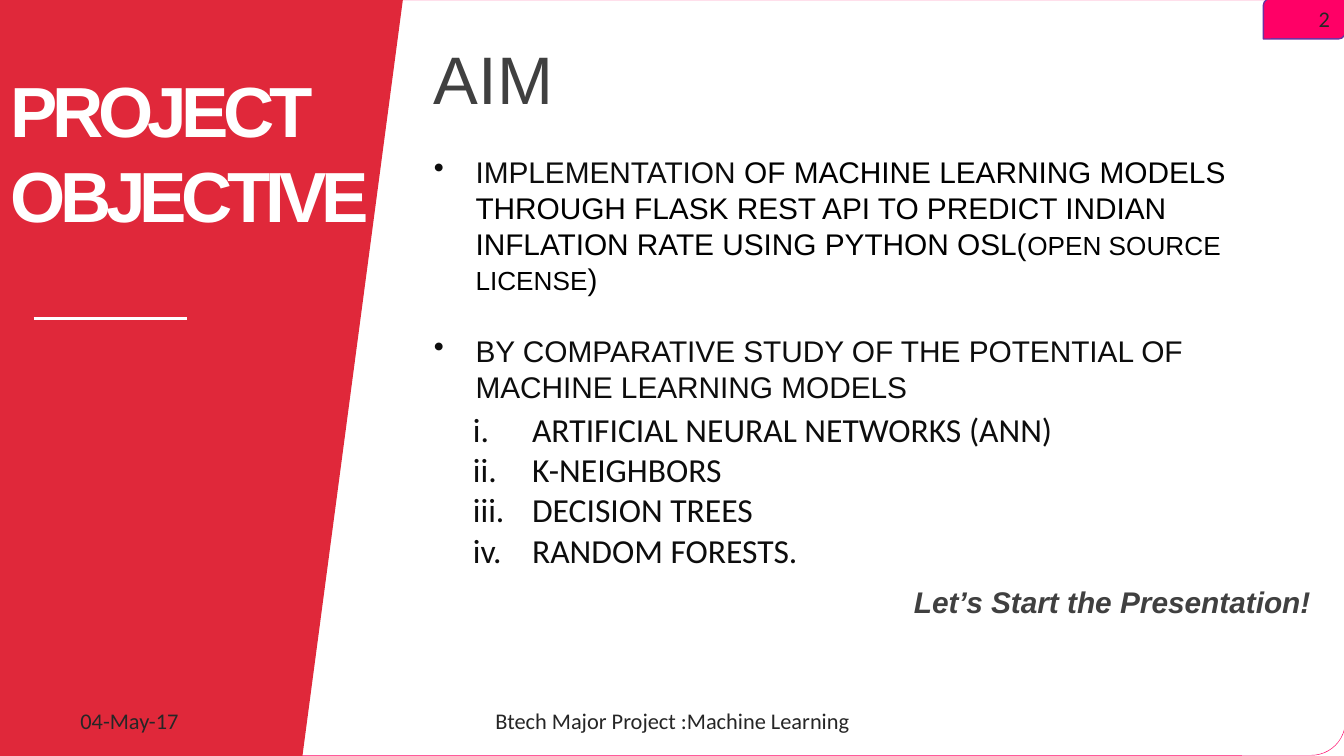
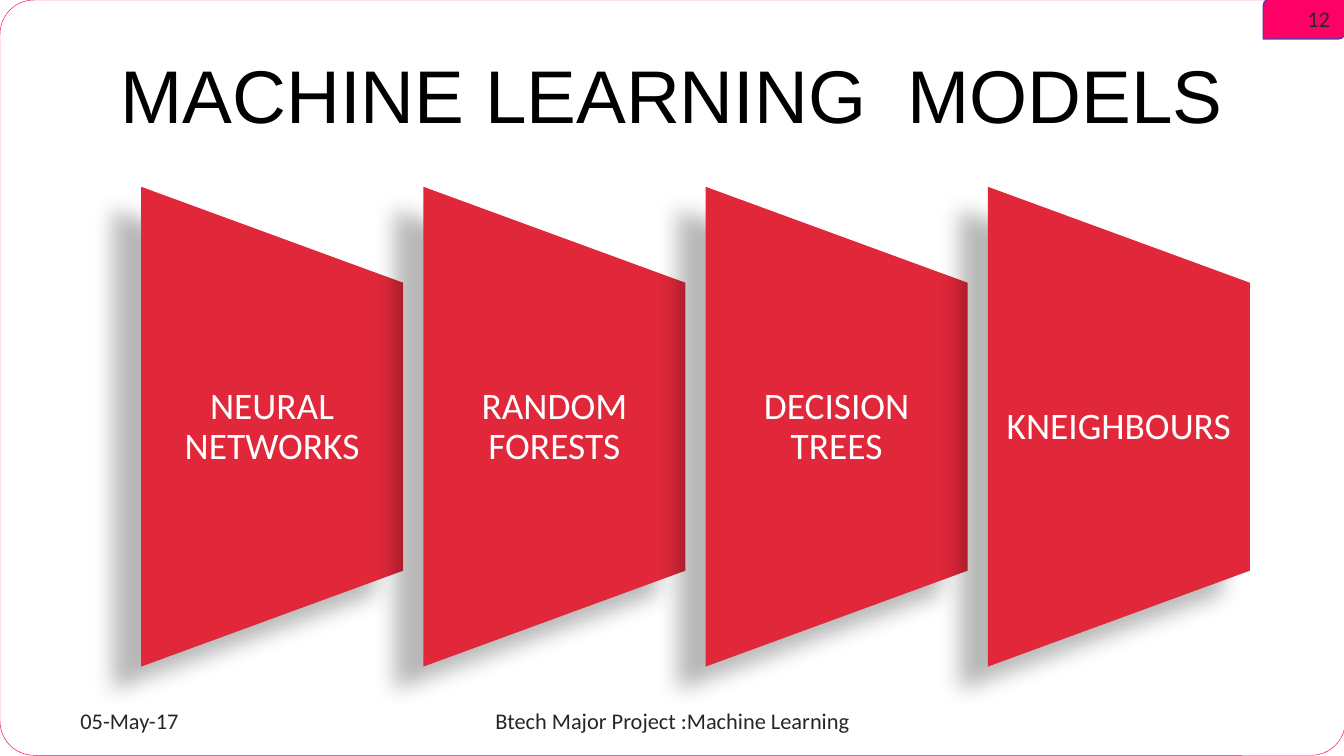
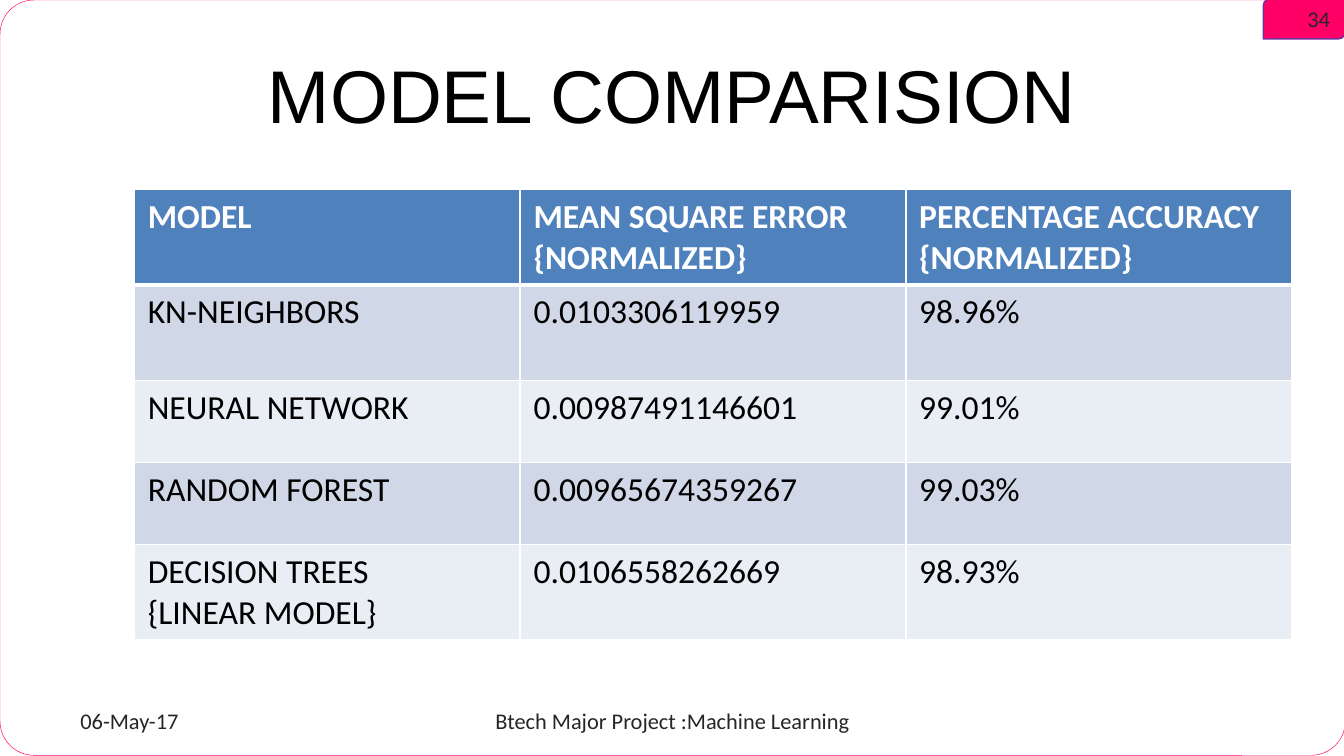
from dataclasses import dataclass, field
from typing import Any, Optional

from lxml.etree import SubElement
from pptx import Presentation
from pptx.dml.color import RGBColor
from pptx.enum.shapes import MSO_CONNECTOR, MSO_SHAPE
from pptx.enum.text import MSO_ANCHOR, MSO_AUTO_SIZE, PP_ALIGN
from pptx.oxml import parse_xml
from pptx.oxml.ns import nsdecls, qn
from pptx.util import Inches, Pt

WHITE = "FFFFFF"
BLACK = "000000"
RED = "E0283A"
PINK = "FF0066"
PURPLE = "7030A0"
INK = "0D0D0D"
GREY = "404040"
FOOTER_INK = "262626"
HEADER_BLUE = "4F81BD"
ROW_FILLS = ("D0D8E8", "E9EDF4")

FOOTER = {"name": "Calibri", "size": Pt(12), "color": FOOTER_INK}
TITLE = {"name": "Arial", "size": Pt(40), "color": BLACK, "bold": False}
PANEL_TITLE = {"name": "Arial", "size": Pt(38), "color": WHITE, "bold": True}
BODY = {"name": "Arial", "size": Pt(16), "color": BLACK}
LIST_ITEM = {"name": "Calibri", "size": Pt(18), "color": INK}
CARD = {"name": "Calibri", "size": Pt(20), "color": WHITE}
TABLE_HEADER = {"name": "Calibri", "size": Pt(18), "color": WHITE, "bold": True}
TABLE_BODY = {"name": "Calibri", "size": Pt(18), "color": BLACK, "bold": False}

BODY_LINE = 19.2


@dataclass
class Box:
    left: float
    top: float
    width: float
    height: float

    def lengths(self) -> tuple:
        return tuple(Inches(n) for n in (self.left, self.top, self.width, self.height))


@dataclass
class TextRun:
    text: str
    style: dict
    tracking: int = 0


@dataclass
class TextLine:
    runs: list
    layout: dict = field(default_factory=dict)
    bullet: Optional[tuple] = None
    indent: float = 0


def rgb(value: str) -> RGBColor:
    return RGBColor.from_string(value)


def one_run(text: str, style: dict, **layout: Any) -> TextLine:
    return TextLine([TextRun(text, style)], layout)


def format_font(font: Any, style: dict) -> None:
    for name, value in style.items():
        if name == "color":
            font.color.rgb = rgb(value)
        else:
            setattr(font, name, value)


def set_bullet(paragraph: Any, bullet: tuple, indent: float) -> None:
    properties = paragraph._p.get_or_add_pPr()
    properties.set("marL", str(Inches(indent)))
    properties.set("indent", str(-Inches(indent)))
    tag, attribute, value = bullet
    SubElement(properties, qn(tag)).set(attribute, value)


def write_lines(text_frame: Any, lines: list) -> None:
    for index, line in enumerate(lines):
        paragraph = text_frame.add_paragraph() if index else text_frame.paragraphs[0]
        if line.bullet:
            set_bullet(paragraph, line.bullet, line.indent)
        for name, value in line.layout.items():
            setattr(paragraph, name, value)
        for part in line.runs:
            run = paragraph.add_run()
            run.text = part.text
            format_font(run.font, part.style)
            if part.tracking:
                run._r.get_or_add_rPr().set("spc", str(part.tracking))


def fill_frame(shape: Any, lines: list, anchor: Any, side: float = 0.1, edge: float = 0.05) -> None:
    settings = {
        "word_wrap": True,
        "auto_size": MSO_AUTO_SIZE.NONE,
        "vertical_anchor": anchor,
        "margin_left": Inches(side),
        "margin_right": Inches(side),
        "margin_top": Inches(edge),
        "margin_bottom": Inches(edge),
    }
    for name, value in settings.items():
        setattr(shape.text_frame, name, value)
    write_lines(shape.text_frame, lines)


def add_text(slide: Any, box: Box, lines: list, anchor: Any = MSO_ANCHOR.TOP,
             side: float = 0.1, edge: float = 0.05) -> None:
    fill_frame(slide.shapes.add_textbox(*box.lengths()), lines, anchor, side, edge)


def paint(shape: Any, fill: Optional[str], line: Optional[str] = None, width: float = 0) -> None:
    shape.shadow.inherit = False
    if fill:
        shape.fill.solid()
        shape.fill.fore_color.rgb = rgb(fill)
    else:
        shape.fill.background()
    if line:
        shape.line.color.rgb = rgb(line)
        shape.line.width = Pt(width)
    else:
        shape.line.fill.background()


def place_title(slide: Any, box: Box, line: TextLine, anchor: Any) -> None:
    title = slide.shapes.title
    title.left, title.top, title.width, title.height = box.lengths()
    fill_frame(title, [line], anchor)


def place_centred_title(slide: Any, text: str) -> None:
    line = one_run(text, TITLE, alignment=PP_ALIGN.CENTER)
    place_title(slide, Box(0.5, 0.23, 9, 0.94), line, MSO_ANCHOR.MIDDLE)


def add_page(presentation: Any) -> Any:
    slide = presentation.slides.add_slide(presentation.slide_layouts[5])
    slide.background.fill.solid()
    slide.background.fill.fore_color.rgb = rgb(WHITE)
    frame = slide.shapes.add_shape(MSO_SHAPE.ROUNDED_RECTANGLE, *Box(0, 0, 10.01, 5.62).lengths())
    frame.adjustments[0] = 0.045
    paint(frame, None, PINK, 0.25)
    slide.shapes.title.element.addprevious(frame.element)
    return slide


def add_footers(slide: Any, date: str, number: int) -> None:
    add_text(slide, Box(0.5, 5.21, 2.33, 0.3), [one_run(date, FOOTER)], MSO_ANCHOR.MIDDLE)
    project = one_run("Btech Major Project :Machine Learning", FOOTER, alignment=PP_ALIGN.CENTER)
    add_text(slide, Box(3.42, 5.21, 3.17, 0.3), [project], MSO_ANCHOR.MIDDLE)
    tab = slide.shapes.add_shape(MSO_SHAPE.ROUND_2_DIAG_RECTANGLE, *Box(9.4, -0.01, 0.61, 0.3).lengths())
    paint(tab, PINK, PURPLE, 0.75)
    fill_frame(tab, [one_run(str(number), FOOTER, alignment=PP_ALIGN.RIGHT)], MSO_ANCHOR.MIDDLE)


def add_side_panel(slide: Any) -> None:
    builder = slide.shapes.build_freeform(Inches(-0.02), Inches(-0.01))
    corners = ((3, -0.02), (2.25, 5.63), (0, 5.64))
    builder.add_line_segments([(Inches(x), Inches(y)) for x, y in corners], close=True)
    panel = builder.convert_to_shape()
    paint(panel, RED)
    slide.shapes.title.element.addprevious(panel.element)


def add_rule(slide: Any) -> None:
    ends = [Inches(n) for n in (0.25, 2.37, 1.39, 2.37)]
    rule = slide.shapes.add_connector(MSO_CONNECTOR.STRAIGHT, *ends)
    rule.line.color.rgb = rgb(WHITE)
    rule.line.width = Pt(2)
    SubElement(rule.element.spPr, qn("a:effectLst"))


def build_objective(presentation: Any) -> None:
    slide = add_page(presentation)
    add_side_panel(slide)
    heading = TextLine([TextRun("PROJECT OBJECTIVE", PANEL_TITLE, -300)],
                       {"alignment": PP_ALIGN.LEFT, "line_spacing": Pt(45.5)})
    place_title(slide, Box(-0.02, 0.45, 3.02, 2.79), heading, MSO_ANCHOR.TOP)

    dark = BODY | {"color": INK}
    dot = ("a:buChar", "char", "•")
    spacing = {"line_spacing": Pt(BODY_LINE), "space_before": Pt(BODY_LINE)}
    aim = [
        one_run("AIM", BODY | {"size": Pt(36), "color": GREY}, line_spacing=Pt(43)),
        TextLine([
            TextRun("IMPLEMENTATION", dark),
            TextRun(" OF MACHINE LEARNING MODELS THROUGH FLASK REST API TO PREDICT INDIAN "
                    "INFLATION RATE USING PYTHON OSL(", BODY),
            TextRun("OPEN SOURCE LICENSE", BODY | {"size": Pt(14)}),
            TextRun(")", BODY),
        ], spacing, dot, 0.31),
        TextLine([TextRun("BY COMPARATIVE STUDY OF THE POTENTIAL OF MACHINE LEARNING MODELS", dark)],
                 spacing, dot, 0.31),
        one_run("Let’s Start the Presentation!", BODY | {"color": GREY, "bold": True, "italic": True},
                alignment=PP_ALIGN.RIGHT, line_spacing=Pt(BODY_LINE), space_before=Pt(5 * BODY_LINE)),
    ]
    add_text(slide, Box(3.13, 0.23, 6.72, 4.48), aim)
    add_rule(slide)
    add_footers(slide, "04-May-17", 2)

    models = ("ARTIFICIAL NEURAL NETWORKS (ANN)", "K-NEIGHBORS", "DECISION TREES", "RANDOM FORESTS.")
    roman = ("a:buAutoNum", "type", "romanLcPeriod")
    items = [TextLine([TextRun(model, LIST_ITEM)], {}, roman, 0.44) for model in models]
    add_text(slide, Box(3.42, 2.99, 4.89, 1.31), items)


def add_soft_shadow(shape: Any) -> None:
    properties = shape.element.spPr
    properties.remove(properties.find(qn("a:effectLst")))
    properties.append(parse_xml(
        f'<a:effectLst {nsdecls("a")}><a:outerShdw blurRad="{Pt(11.8)}" dist="{Pt(19.7)}" '
        f'dir="{141 * 60000}" rotWithShape="0"><a:srgbClr val="{BLACK}"><a:alpha val="28000"/>'
        '</a:srgbClr></a:outerShdw></a:effectLst>'))


def add_model_card(slide: Any, left: float, label: str) -> None:
    card = slide.shapes.add_shape(MSO_SHAPE.FLOWCHART_MANUAL_OPERATION,
                                  *Box(left - 0.81, 2.2, 3.57, 1.95).lengths())
    card.rotation = 270
    paint(card, RED)
    add_soft_shadow(card)
    line = one_run(label, CARD, alignment=PP_ALIGN.CENTER, line_spacing=0.9)
    add_text(slide, Box(left, 2.11, 1.95, 2.14), [line], MSO_ANCHOR.MIDDLE, 0.14, 0)


def build_models(presentation: Any) -> None:
    slide = add_page(presentation)
    place_centred_title(slide, "MACHINE LEARNING  MODELS")
    add_footers(slide, "05-May-17", 12)
    labels = ("NEURAL NETWORKS", "RANDOM FORESTS", "DECISION TREES", "KNEIGHBOURS")
    for index, label in enumerate(labels):
        add_model_card(slide, 1.05 + 2.1 * index, label)


def set_borders(cell: Any, top: float, bottom: float) -> None:
    properties = cell._tc.get_or_add_tcPr()
    widths = {"lnL": 1, "lnR": 1, "lnT": top, "lnB": bottom}
    for index, (tag, width) in enumerate(widths.items()):
        properties.insert(index, parse_xml(
            f'<a:{tag} {nsdecls("a")} w="{Pt(width)}"><a:solidFill>'
            f'<a:srgbClr val="{WHITE}"/></a:solidFill></a:{tag}>'))


def build_comparison(presentation: Any) -> None:
    slide = add_page(presentation)
    place_centred_title(slide, "MODEL COMPARISION")
    add_footers(slide, "06-May-17", 34)
    rows = (
        ("MODEL", "MEAN SQUARE ERROR {NORMALIZED}", "PERCENTAGE ACCURACY\n{NORMALIZED}"),
        ("KN-NEIGHBORS", "0.0103306119959", "98.96%"),
        ("NEURAL NETWORK", "0.00987491146601", "99.01%"),
        ("RANDOM FOREST", "0.00965674359267", "99.03%"),
        ("DECISION TREES\n{LINEAR MODEL}", "0.0106558262669", "98.93%"),
    )
    heights = (0.71, 0.71, 0.61, 0.61, 0.71)
    box = Box(1, 1.41, 8.61, sum(heights))
    table = slide.shapes.add_table(len(rows), len(rows[0]), *box.lengths()).table
    for column in table.columns:
        column.width = Inches(2.87)
    for row_index, (texts, height) in enumerate(zip(rows, heights)):
        table.rows[row_index].height = Inches(height)
        is_header = row_index == 0
        style = TABLE_HEADER if is_header else TABLE_BODY
        fill = HEADER_BLUE if is_header else ROW_FILLS[(row_index - 1) % 2]
        for column_index, text in enumerate(texts):
            cell = table.cell(row_index, column_index)
            cell.fill.solid()
            cell.fill.fore_color.rgb = rgb(fill)
            set_borders(cell, 3 if row_index == 1 else 1, 3 if is_header else 1)
            write_lines(cell.text_frame, [one_run(part, style) for part in text.split("\n")])


def main() -> None:
    presentation = Presentation()
    presentation.slide_width = Inches(10)
    presentation.slide_height = Inches(10) * 9 // 16
    build_objective(presentation)
    build_models(presentation)
    build_comparison(presentation)
    presentation.save("out.pptx")


if __name__ == "__main__":
    main()
